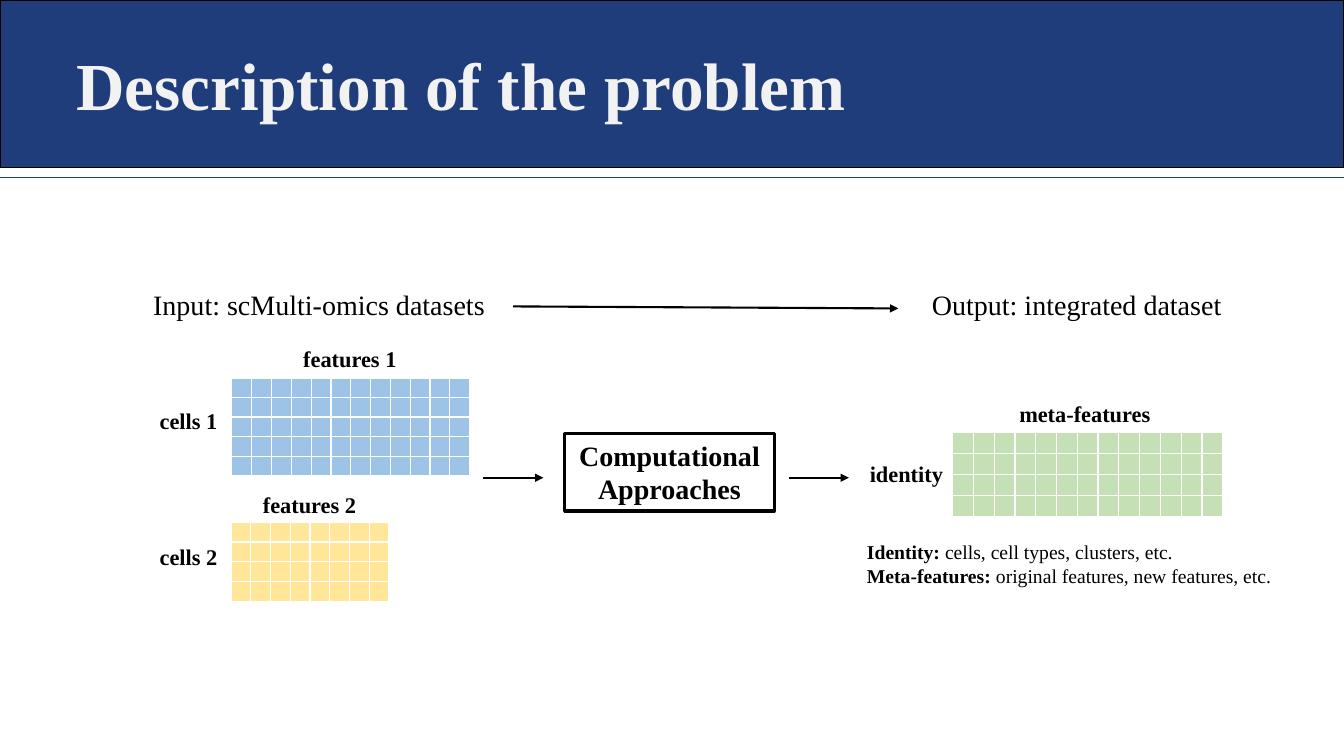
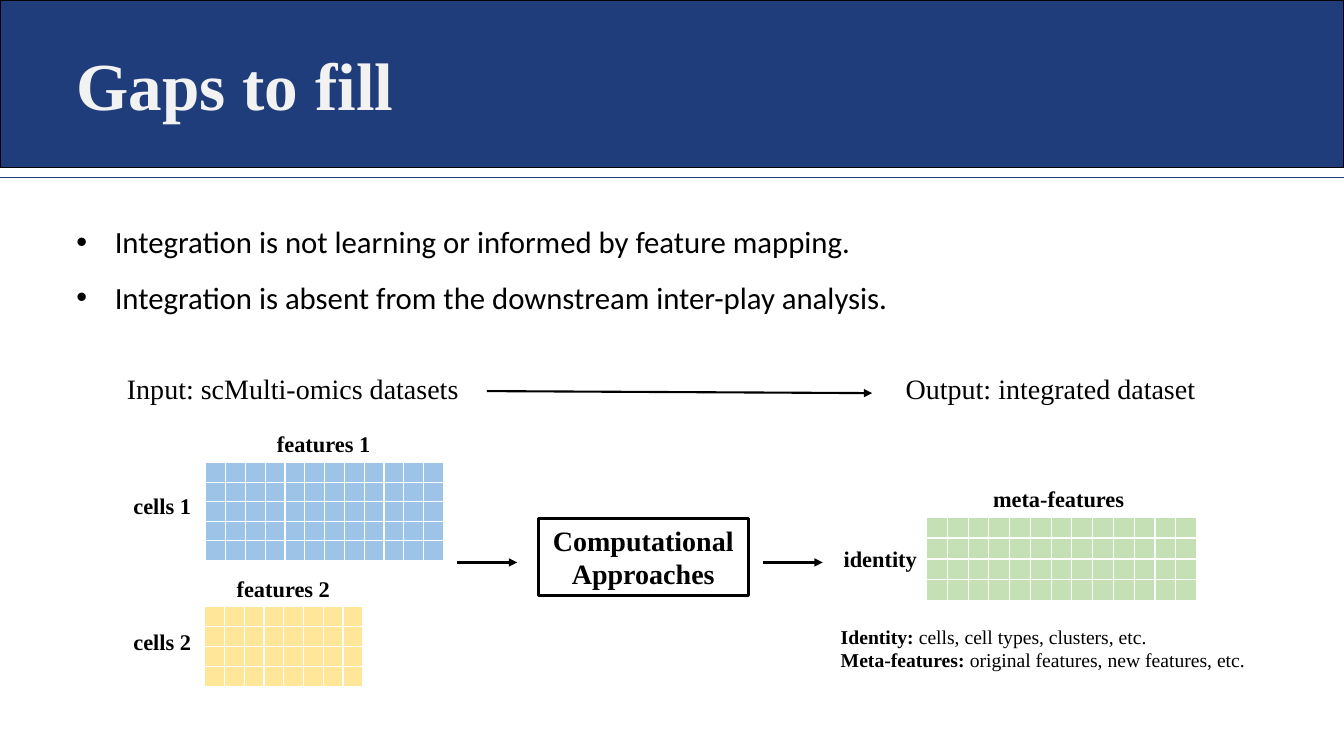
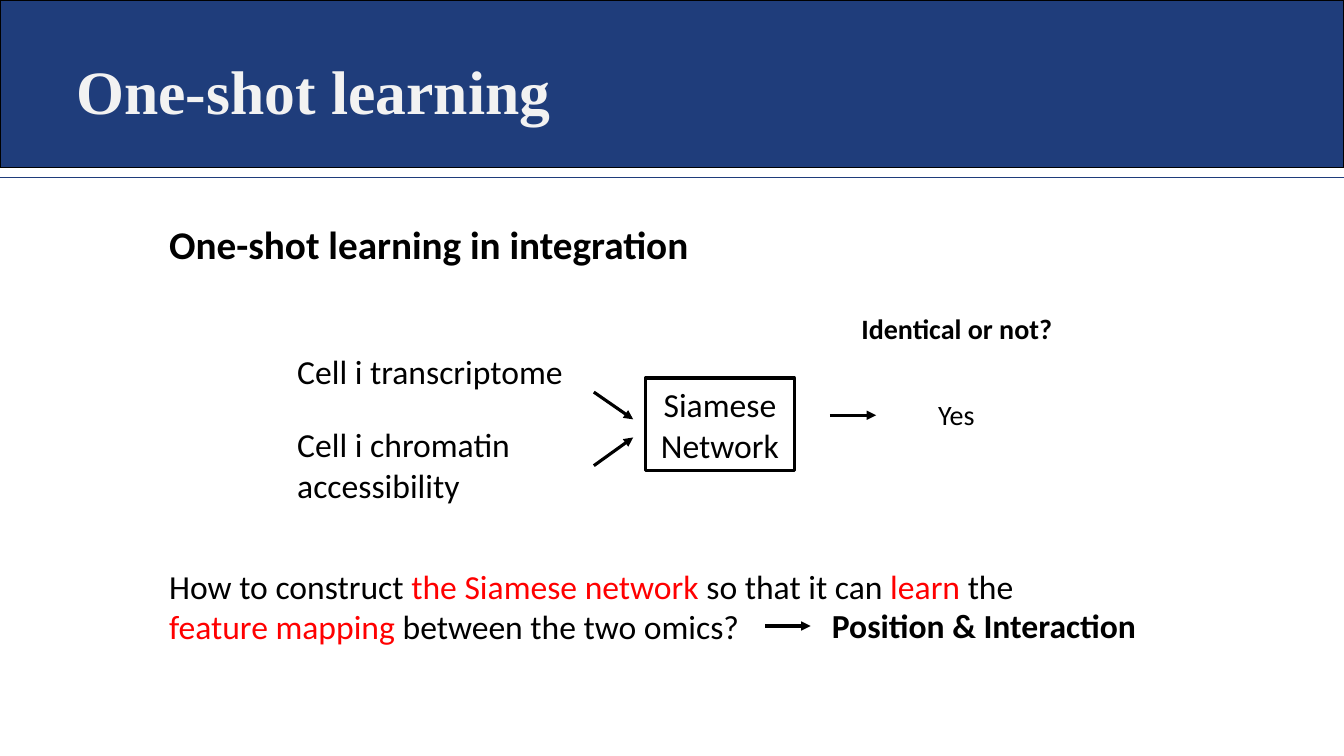
from lxml import etree
from pptx import Presentation
from pptx.dml.color import RGBColor
from pptx.enum.shapes import MSO_CONNECTOR, MSO_SHAPE
from pptx.enum.text import MSO_ANCHOR, MSO_AUTO_SIZE, PP_ALIGN
from pptx.oxml.ns import qn
from pptx.util import Inches, Pt

RECT = MSO_SHAPE.RECTANGLE
LINE = MSO_CONNECTOR.STRAIGHT
LEFT, MID = PP_ALIGN.LEFT, PP_ALIGN.CENTER
TOP, CENTER = MSO_ANCHOR.TOP, MSO_ANCHOR.MIDDLE
GROW = MSO_AUTO_SIZE.SHAPE_TO_FIT_TEXT

SERIF, SANS = "Times New Roman", "Calibri"
NAVY, PALE, BLACK, WHITE, RED = "1F3D7B", "F2F2F2", "000000", "FFFFFF", "FF0000"
BLUE, GOLD, GREEN = "9DC3E6", "FFE699", "C5E0B4"
WIDE = 13.33


def tint(code):
    return RGBColor.from_string(code)


def place(*lengths):
    return [Inches(length) for length in lengths]


def write(frame, paras, size, font=SERIF, bold=False, color=BLACK, align=LEFT):
    frame.word_wrap = True
    for i, runs in enumerate(paras):
        para = frame.paragraphs[0] if i == 0 else frame.add_paragraph()
        para.alignment = align
        for words, style in runs:
            run = para.add_run()
            run.text = words
            run.font.name = font
            run.font.size = Pt(size)
            run.font.bold = style.get("bold", bold)
            run.font.color.rgb = tint(style.get("color", color))


def text(slide, at, paras, size, **style):
    if isinstance(paras, str):
        paras = [[(paras, {})]]
    frame = slide.shapes.add_textbox(*place(*at)).text_frame
    write(frame, paras, size, **style)
    frame.auto_size = GROW
    return frame


def box(slide, at, words, size, anchor=TOP, fill=None, width=2.25, **style):
    shape = slide.shapes.add_shape(RECT, *place(*at))
    shape.shadow.inherit = False
    if fill:
        shape.fill.solid()
        shape.fill.fore_color.rgb = tint(fill)
    else:
        shape.fill.background()
    shape.line.color.rgb = tint(BLACK)
    shape.line.width = Pt(width)
    if words:
        shape.text_frame.vertical_anchor = anchor
        write(shape.text_frame, [[(words, {})]], size, align=MID, **style)


def rule(slide, ends, width, color=BLACK, head=True):
    line = slide.shapes.add_connector(LINE, *place(*ends))
    line.line.color.rgb = tint(color)
    line.line.width = Pt(width)
    props = line._element.spPr
    if head:
        etree.SubElement(props.find(qn("a:ln")), qn("a:tailEnd"), type="triangle")
    etree.SubElement(props, qn("a:effectLst"))


def edge(cell):
    props = cell._tc.get_or_add_tcPr()
    for side in ("lnL", "lnR", "lnT", "lnB"):
        line = etree.SubElement(props, qn("a:" + side), w=str(Pt(1)))
        fill = etree.SubElement(line, qn("a:solidFill"))
        etree.SubElement(fill, qn("a:srgbClr"), val=WHITE)


def grid(slide, at, rows, cols, color):
    table = slide.shapes.add_table(rows, cols, *place(*at)).table
    table.first_row = table.horz_banding = False
    for row in table.rows:
        row.height = Inches(at[3] / rows)
    for col in table.columns:
        col.width = Inches(at[2] / cols)
    for cell in table.iter_cells():
        cell.margin_left = cell.margin_right = 0
        cell.margin_top = cell.margin_bottom = 0
        edge(cell)
        cell.fill.solid()
        cell.fill.fore_color.rgb = tint(color)
        para = cell.text_frame.paragraphs[0]._p
        etree.SubElement(para, qn("a:endParaRPr"), sz="600")


def bullet(para):
    props = para._p.get_or_add_pPr()
    props.set("marL", str(Inches(0.38)))
    props.set("indent", str(-Inches(0.38)))
    etree.SubElement(props, qn("a:buFont"), typeface="Arial")
    etree.SubElement(props, qn("a:buChar"), char="•")
    para.line_spacing = 1.5


def start(deck, title, top=0.38, size=48):
    slide = deck.slides.add_slide(deck.slide_layouts[6])
    box(slide, (0, 0, WIDE, 1.66), "", size, fill=NAVY, width=1)
    rule(slide, (0, 1.76, WIDE, 1.76), 1, NAVY, head=False)
    text(slide, (0.66, top, 12.35, 0.91), title, size, bold=True, color=PALE)
    return slide


def flow(slide, dx=0, dy=0):
    def move(x, y, w, h):
        return x + dx, y + dy, w, h

    grids = [
        ((2.3, 3.75, 2.36, 0.97), 5, 12, BLUE),
        ((2.29, 5.18, 1.57, 0.79), 4, 8, GOLD),
        ((9.45, 4.29, 1.65, 0.83), 4, 8, GREEN),
        ((10.89, 4.29, 1.24, 0.83), 4, 6, GREEN),
    ]
    for at, rows, cols, color in grids:
        grid(slide, move(*at), rows, cols, color)

    heads = [
        ((0.92, 2.8, 4.49, 0.44), "Input: scMulti-omics datasets"),
        ((8.98, 2.8, 3.4, 0.44), "Output: integrated dataset"),
    ]
    for at, words in heads:
        text(slide, move(*at), words, 20, align=MID)

    labels = [
        ((1.44, 3.99, 0.86, 0.37), "cells 1"),
        ((1.44, 5.34, 0.86, 0.37), "cells 2"),
        ((2.83, 3.38, 1.28, 0.37), "features 1"),
        ((2.43, 4.82, 1.28, 0.37), "features 2"),
        ((8.5, 4.52, 0.98, 0.37), "identity"),
        ((9.91, 3.92, 1.7, 0.37), "meta-features"),
    ]
    for at, words in labels:
        text(slide, move(*at), words, 16, bold=True, align=MID)

    box(slide, move(5.6, 4.3, 2.08, 0.77), "Computational Approaches", 20, bold=True)
    terms = [
        ("Identity: ", "cells, cell types, clusters, etc."),
        ("Meta-features: ", "original features, new features, etc."),
    ]
    paras = [[(term, {"bold": True}), (sense, {})] for term, sense in terms]
    text(slide, move(8.5, 5.31, 4.25, 0.57), paras, 14)

    arrows = [(5.09, 3.04, 8.91, 3.06), (4.79, 4.74, 5.39, 4.74), (7.83, 4.74, 8.42, 4.74)]
    for x1, y1, x2, y2 in arrows:
        rule(slide, (x1 + dx, y1 + dy, x2 + dx, y2 + dy), 1.5)


def gaps(slide):
    flow(slide, -0.26, 0.84)
    points = [
        "Integration is not learning or informed by feature mapping.",
        "Integration is absent from the downstream inter-play analysis.",
    ]
    paras = [[(point, {})] for point in points]
    frame = text(slide, (0.66, 1.98, 8.75, 1.15), paras, 22, font=SANS)
    for para in frame.paragraphs:
        bullet(para)


def learn(slide):
    box(slide, (6.4, 3.75, 1.48, 0.92), "Siamese Network", 24, CENTER, font=SANS)
    notes = [
        ((1.58, 2.14, 5.5, 0.57), "One-shot learning in integration", 28, True, LEFT),
        ((2.85, 3.43, 3.04, 0.5), "Cell i transcriptome", 24, False, LEFT),
        ((2.85, 4.16, 3.04, 0.91), "Cell i chromatin accessibility", 24, False, LEFT),
        ((8.44, 3.04, 2.1, 0.44), "Identical or not?", 20, True, MID),
        ((8.53, 3.89, 1.91, 0.44), "Yes", 20, False, MID),
        ((7.76, 5.95, 4, 0.5), "Position & Interaction", 24, True, MID),
    ]
    for at, words, size, bold, align in notes:
        text(slide, at, words, size, font=SANS, bold=bold, align=align)

    red = {"color": RED}
    ask = [
        ("How to construct ", {}),
        ("the Siamese network ", red),
        ("so that it can ", {}),
        ("learn ", red),
        ("the ", {}),
        ("feature mapping ", red),
        ("between the two omics?", {}),
    ]
    text(slide, (1.58, 5.56, 8.87, 0.91), [ask], 24, font=SANS)

    arrows = [
        (5.89, 3.89, 6.28, 4.16),
        (5.89, 4.62, 6.28, 4.34),
        (8.23, 4.12, 8.69, 4.12),
        (7.59, 6.21, 8.04, 6.21),
    ]
    for ends in arrows:
        rule(slide, ends, 2.25)


def main():
    deck = Presentation()
    deck.slide_width, deck.slide_height = place(WIDE, 7.5)
    flow(start(deck, "Description of the problem"))
    gaps(start(deck, "Gaps to fill"))
    learn(start(deck, "One-shot learning", 0.48, 44))
    deck.save("out.pptx")


if __name__ == "__main__":
    main()
